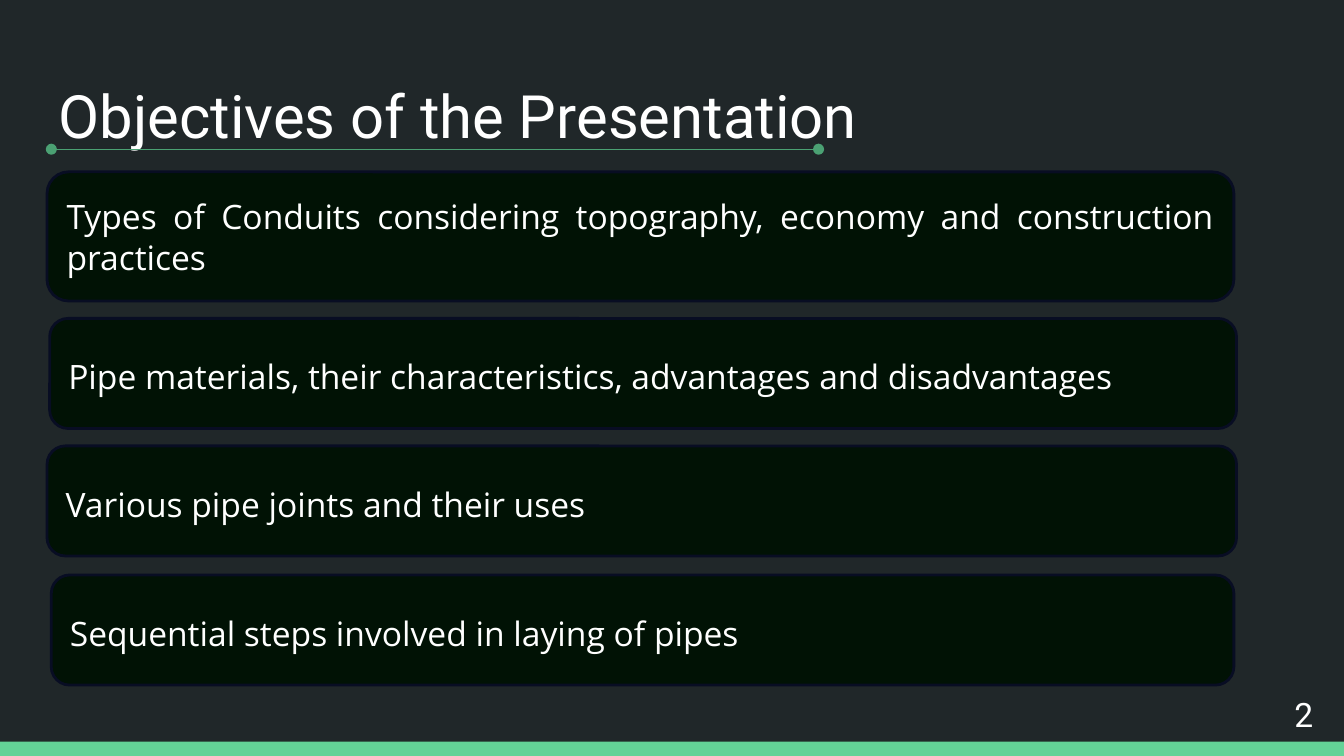
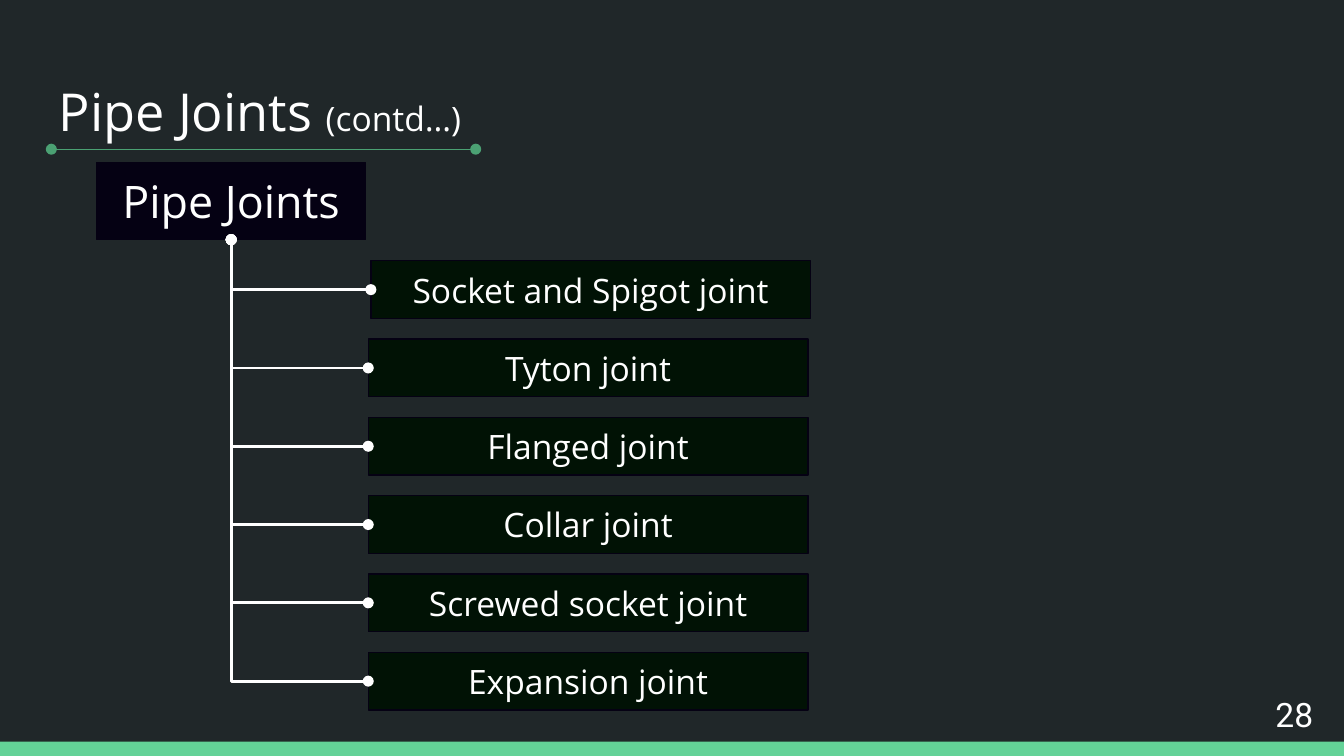
"""Build two slides on pipe conduits and pipe joints."""
from lxml.etree import SubElement
from pptx import Presentation
from pptx.dml.color import RGBColor
from pptx.enum.shapes import MSO_CONNECTOR, MSO_SHAPE
from pptx.enum.text import MSO_ANCHOR, MSO_AUTO_SIZE, PP_ALIGN
from pptx.oxml.ns import qn
from pptx.util import Cm, Pt

BACKGROUND = RGBColor(0x20, 0x27, 0x29)
BAND = RGBColor(0x63, 0xD2, 0x97)
RULE = RGBColor(0x4B, 0xA1, 0x73)
PANEL = RGBColor(0x01, 0x12, 0x05)
CARD_EDGE = RGBColor(0x08, 0x0D, 0x23)
ROOT = RGBColor(0x05, 0x01, 0x13)
WHITE = RGBColor(0xFF, 0xFF, 0xFF)
BODY_FONT = "Open Sans"
ACCENT_FONT = "Roboto"
WIDTH, HEIGHT = 25.4, 14.29


class Deck:
    def __init__(self):
        self.presentation = Presentation()
        self.presentation.slide_width = Cm(WIDTH)
        self.presentation.slide_height = Cm(HEIGHT)
        fill = self.presentation.slide_master.background.fill
        fill.solid()
        fill.fore_color.rgb = BACKGROUND
        self.slide = None

    def start_slide(self, number, title_runs, font, rule_end):
        self.slide = self.presentation.slides.add_slide(self.presentation.slide_layouts[5])
        self.box((0, 14.02, WIDTH, 0.27), BAND)
        self.title(title_runs, font)
        self.number(number)
        self.line(MSO_CONNECTOR.STRAIGHT, (0.97, 2.82), (rule_end, 2.82), RULE, 0.75)

    def frame(self, shape, anchor):
        frame = shape.text_frame
        frame.word_wrap = True
        frame.auto_size = MSO_AUTO_SIZE.NONE
        frame.vertical_anchor = anchor
        frame.margin_left = frame.margin_right = Cm(0.25)
        frame.margin_top = frame.margin_bottom = Cm(0.25)
        return frame

    def style(self, run, size, font):
        run.font.size = Pt(size)
        run.font.name = font
        run.font.color.rgb = WHITE

    def label(self, shape, text, size, font, align):
        frame = self.frame(shape, MSO_ANCHOR.MIDDLE)
        frame.text = text
        paragraph = frame.paragraphs[0]
        paragraph.alignment = align
        self.style(paragraph.runs[0], size, font)
        return paragraph

    def title(self, runs, font):
        shape = self.slide.shapes.title
        shape.left, shape.top, shape.width, shape.height = map(Cm, (0.86, 1.24, 23.67, 1.6))
        paragraph = self.frame(shape, MSO_ANCHOR.TOP).paragraphs[0]
        paragraph.alignment = PP_ALIGN.LEFT
        for text, size in runs:
            run = paragraph.add_run()
            run.text = text
            self.style(run, size, font)

    def number(self, number):
        shape = self.slide.shapes.add_textbox(*map(Cm, (23.55, 12.95, 1.52, 1.09)))
        self.label(shape, str(number), 18, ACCENT_FONT, PP_ALIGN.RIGHT)

    def box(self, place, fill, edge=None, edge_width=0.75, kind=MSO_SHAPE.RECTANGLE):
        shape = self.slide.shapes.add_shape(kind, *map(Cm, place))
        shape.shadow.inherit = False
        shape.fill.solid()
        shape.fill.fore_color.rgb = fill
        if edge is None:
            shape.line.fill.background()
        else:
            shape.line.color.rgb = edge
            shape.line.width = Pt(edge_width)
        return shape

    def card(self, place, text, align, spacing):
        shape = self.box(place, PANEL, CARD_EDGE, 1.5, MSO_SHAPE.ROUNDED_RECTANGLE)
        paragraph = self.label(shape, text, 18, BODY_FONT, align)
        paragraph.line_spacing = spacing
        paragraph.space_after = Pt(16)

    def node(self, place, text, fill, size):
        shape = self.box(place, fill, ROOT)
        self.label(shape, text, size, BODY_FONT, PP_ALIGN.CENTER)

    def line(self, kind, start, end, color, width):
        connector = self.slide.shapes.add_connector(kind, *map(Cm, start + end))
        connector.line.color.rgb = color
        connector.line.width = Pt(width)
        properties = connector._element.spPr
        outline = properties.find(qn("a:ln"))
        for tag in ("a:headEnd", "a:tailEnd"):
            SubElement(outline, qn(tag)).set("type", "oval")
        SubElement(properties, qn("a:effectLst"))
        return connector

    def branch(self, start, end):
        across, down = end[0] - start[0], end[1] - start[1]
        middle_x, middle_y = (start[0] + end[0]) / 2, (start[1] + end[1]) / 2
        connector = self.line(
            MSO_CONNECTOR.ELBOW,
            (middle_x + down / 2, middle_y - across / 2),
            (middle_x - down / 2, middle_y + across / 2),
            WHITE, 1.5)
        properties = connector._element.spPr
        properties.find(qn("a:xfrm")).set("rot", str(270 * 60000))
        properties.find(qn("a:prstGeom")).set("prst", "bentConnector2")


def build_objectives(deck):
    deck.start_slide(2, [("Objectives of the Presentation", 32)], ACCENT_FONT, 15.47)
    cards = [
        ((0.89, 3.25, 22.43, 2.44), PP_ALIGN.JUSTIFY, 1.0,
         "Types of Conduits considering topography, economy and construction practices"),
        ((0.94, 6.02, 22.43, 2.08), PP_ALIGN.LEFT, 1.15,
         "Pipe materials, their characteristics, advantages and disadvantages"),
        ((0.89, 8.43, 22.48, 2.08), PP_ALIGN.LEFT, 1.15,
         "Various pipe joints and their uses"),
        ((0.97, 10.87, 22.35, 2.08), PP_ALIGN.LEFT, 1.15,
         "Sequential steps involved in laying of pipes"),
    ]
    for place, align, spacing, text in cards:
        deck.card(place, text, align, spacing)


def build_joints(deck):
    deck.start_slide(28, [("Pipe Joints ", 28), ("(contd…)", 18)], BODY_FONT, 8.99)
    deck.node((1.83, 3.07, 5.08, 1.46), "Pipe Joints", ROOT, 24)
    joints = ["Socket and Spigot joint", "Tyton joint", "Flanged joint",
              "Collar joint", "Screwed socket joint", "Expansion joint"]
    height = 1.09
    for index, joint in enumerate(joints):
        left = 6.96 if index else 7.01
        top = 4.93 + 1.48 * index
        deck.node((left, top, 8.31, height), joint, PANEL, 18)
        deck.branch((4.37, 4.53), (left, top + height / 2))


def main():
    deck = Deck()
    build_objectives(deck)
    build_joints(deck)
    deck.presentation.save("out.pptx")


if __name__ == "__main__":
    main()
